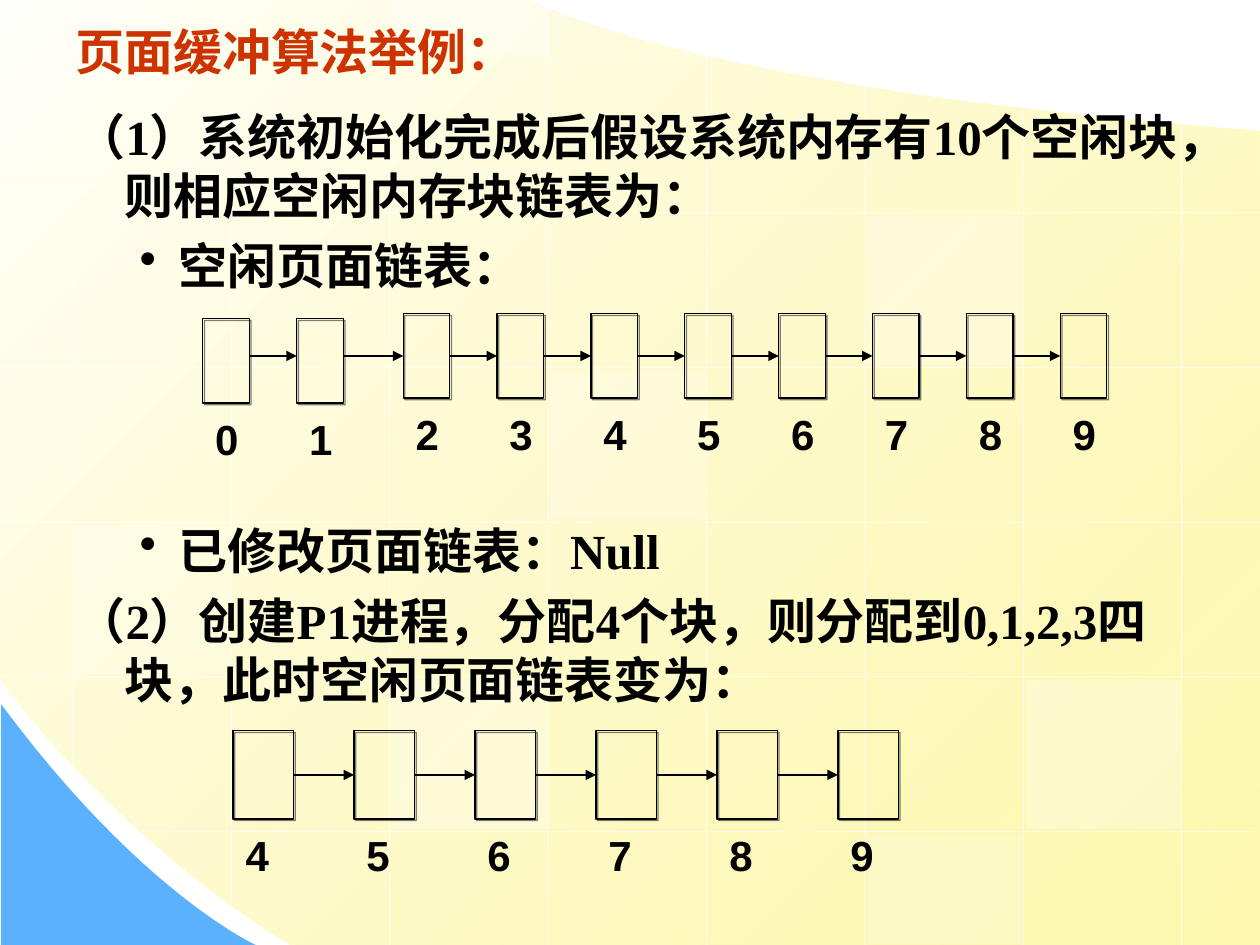
from lxml import etree
from pptx import Presentation
from pptx.dml.color import RGBColor
from pptx.enum.shapes import MSO_CONNECTOR, MSO_SHAPE
from pptx.enum.text import MSO_ANCHOR
from pptx.oxml.ns import qn
from pptx.util import Emu, Inches, Pt

STRAIGHT, RECT = MSO_CONNECTOR.STRAIGHT, MSO_SHAPE.RECTANGLE
MIDDLE = MSO_ANCHOR.MIDDLE
RIGHT_SIDE, LEFT_SIDE = 3, 1
THEME = {
    "title": RGBColor(0xCC, 0x33, 0x00),
    "ink": RGBColor(0, 0, 0),
    "white": RGBColor(255, 255, 255),
    "cream": RGBColor(0xFF, 0xFF, 0xFB),
    "yellow": RGBColor(0xFD, 0xF5, 0x8D),
    "blue": RGBColor(0x5C, 0xB1, 0xFE),
    "text_size": Pt(28), "label_size": Pt(24), "line": Pt(0.75),
    "cjk": "Noto Sans CJK SC", "serif": "Times New Roman", "sans": "Arial",
}

prs = Presentation()
prs.slide_width, prs.slide_height = Inches(10), Inches(7.5)
CELL = prs.slide_width / 100  # the slide is 100 columns by 75 rows
slide = prs.slides.add_slide(prs.slide_layouts[6])
shapes = slide.shapes


def cells(*counts):
    """Turn numbers of grid cells into lengths."""
    return [Emu(round(n * CELL)) for n in counts]


def add(parent, tag, **attrs):
    """Append a DrawingML element with its attributes."""
    return etree.SubElement(parent, qn(tag), attrs)


# Curved background areas: each segment is a cubic curve or a single corner
page = [(100, 10.4),
        [(100, 42.7), (100, 75), (100, 75)],
        [(100, 75), (61.5, 75), (23, 75)],
        [(8.6, 66.1), (0, 53.9), (0, 53.9)],
        [(0, 0)], [(42.1, 0)],
        [(42.1, 0), (53.7, 6.9), (100, 10.4)]]
corner = [(0.1, 55.9), [(0.1, 75)], [(20.3, 75)],
          [(20.3, 75), (11.2, 70.9), (0.1, 55.9)]]
areas = []
for start, *segments in (page, corner):
    points = [start]
    for segment in segments:
        if len(segment) == 1:
            points += segment
            continue
        a, (b, c, d) = points[-1], segment
        for step in range(1, 25):
            t = step / 24
            u = 1 - t
            points.append(tuple(
                u**3 * a[i] + 3 * u * u * t * b[i] + 3 * u * t * t * c[i] + t**3 * d[i]
                for i in (0, 1)))
    outline = shapes.build_freeform(*cells(*points[0]))
    outline.add_line_segments([cells(*point) for point in points[1:]], close=True)
    s = outline.convert_to_shape()
    s.shadow.inherit = False
    s.line.fill.background()
    areas.append(s)
page_area, corner_area = areas
page_area.fill.gradient()
page_area.fill.gradient_angle = 315
for stop, colour in zip(page_area.fill.gradient_stops, (THEME["cream"], THEME["yellow"])):
    stop.color.rgb = colour
add(list(page_area._element.iter(qn("a:srgbClr")))[-1], "a:alpha", val="70000")
corner_area.fill.solid()
corner_area.fill.fore_color.rgb = THEME["blue"]

# Faint lattice, cut off along the curves
columns = [5.8 + 12.57 * i for i in range(8)]
rows = [4.6 + 12.28 * i for i in range(6)]
column_spans = [(0, 60.9), (0, 71.9), (0, 75), (0, 75),
                (4.3, 75), (6.8, 75), (8.5, 75), (9.8, 75)]
row_spans = [(0, 56.8)] + [(0, 100)] * 4 + [(11.1, 99.7)]
lattice = [(x, top, x, bottom) for x, (top, bottom) in zip(columns, column_spans)]
lattice += [(left, y, right, y) for y, (left, right) in zip(rows, row_spans)]
for ends in lattice:
    s = shapes.add_connector(STRAIGHT, *cells(*ends))
    s.line.width = THEME["line"]
    s.line.color.rgb = THEME["white"]
    add(s._element.find(".//" + qn("a:srgbClr")), "a:alpha", val="50000")
    add(s._element.spPr, "a:effectLst")

# Lighter tiles: column, top, height, opacity in percent
for column, top, height, opacity in (
        (3, rows[2] + 0.25, 11.8, 25), (6, rows[4] + 0.25, 11.8, 30),
        (0, rows[3] + 0.25, 11.8, 20), (5, rows[5] + 0.25, 8.7, 20),
        (2, 0, 4.4, 40), (2, rows[4] + 0.25, 11.8, 30),
        (5, rows[1] + 0.25, 11.8, 30)):
    s = shapes.add_shape(RECT, *cells(columns[column] + 0.2, top, 12.3, height))
    s.shadow.inherit = False
    s.line.fill.background()
    s.fill.solid()
    s.fill.fore_color.rgb = THEME["white"]
    add(s._element.spPr.find(".//" + qn("a:srgbClr")), "a:alpha", val=str(opacity * 1000))

# Title and body: text, is a bullet, space before
title = [("页面缓冲算法举例：", False, 0)]
body = [
    ("（1）系统初始化完成后假设系统内存有10个空闲块，则相应空闲内存块链表为：", False, 0),
    ("空闲页面链表：", True, 7),
    ("已修改页面链表：Null", True, 129),
    ("（2）创建P1进程，分配4个块，则分配到0,1,2,3四块，此时空闲页面链表变为：", False, 7),
]
for place, paragraphs, font, colour in (
        ((5, 1.3, 90, 5.5), title, THEME["cjk"], THEME["title"]),
        ((5.1, 7.6, 90, 59.9), body, THEME["serif"], THEME["ink"])):
    tf = shapes.add_textbox(*cells(*place)).text_frame
    tf.word_wrap = True
    if paragraphs is title:
        tf.vertical_anchor = MIDDLE
    else:
        tf.margin_top = Inches(0.09)
    for i, (text, bulleted, before) in enumerate(paragraphs):
        p = tf.add_paragraph() if i else tf.paragraphs[0]
        p.text = text
        if paragraphs is body:
            left, hanging = (8.1, 3.1) if bulleted else (3.8, 3.8)
            pPr = p._p.get_or_add_pPr()
            pPr.set("marL", str(cells(left)[0]))
            pPr.set("indent", str(-cells(hanging)[0]))
            if bulleted:
                add(add(pPr, "a:buClr"), "a:srgbClr", val=str(THEME["ink"]))
                add(pPr, "a:buChar", char="•")
            p.line_spacing = Pt(33.4)
            p.space_before = Pt(before)
        r = p.runs[0]
        r.font.size, r.font.bold, r.font.name = THEME["text_size"], True, font
        r.font.color.rgb = colour
        add(r._r.rPr, "a:ea", typeface=THEME["cjk"])

# Page lists: boxes as (label, left, top), box size, height of the arrows
free_pages = [(n, 16.1 + 7.45 * n + (n > 1), 24.9 + 0.4 * (n < 2)) for n in range(10)]
left_pages = [(n, 18.5 + 9.6 * (n - 4), 58) for n in range(4, 10)]
for pages, width, height, arrow_y in ((free_pages, 3.7, 6.7, 28.25),
                                      (left_pages, 4.8, 7, 61.5)):
    boxes = []
    for label, x, y in pages:
        s = shapes.add_shape(RECT, *cells(x, y, width, height))
        s.fill.background()
        s.line.color.rgb, s.line.width = THEME["ink"], THEME["line"]
        s.shadow.inherit = False
        shadow = add(s._element.spPr.find(qn("a:effectLst")), "a:outerShdw",
                     blurRad="0", dist=str(Pt(1.4)), dir="2700000", algn="ctr", rotWithShape="0")
        add(add(shadow, "a:srgbClr", val=str(THEME["ink"])), "a:alpha", val="50000")
        boxes.append(s)

        tf = shapes.add_textbox(*cells(x, y + height, width, 5)).text_frame
        tf.word_wrap = True
        tf.margin_top = Inches(0.08)
        tf.text = str(label)
        r = tf.paragraphs[0].runs[0]
        r.font.size, r.font.bold = THEME["label_size"], True
        r.font.color.rgb = THEME["ink"]
        glow = add(add(r._r.rPr, "a:effectLst"), "a:outerShdw",
                   blurRad="0", dist=str(Pt(1.4)), dir="2700000")
        add(glow, "a:srgbClr", val="C0C0C0")
        r.font.name = THEME["sans"]

    for i in range(len(pages) - 1):
        (_, x1, y1), (_, x2, y2) = pages[i:i + 2]
        s = shapes.add_connector(STRAIGHT, *cells(x1 + width, arrow_y, x2, arrow_y))
        if y1 + height / 2 == arrow_y:
            s.begin_connect(boxes[i], RIGHT_SIDE)
        if y2 + height / 2 == arrow_y:
            s.end_connect(boxes[i + 1], LEFT_SIDE)
        s.line.color.rgb, s.line.width = THEME["ink"], THEME["line"]
        add(s.line._get_or_add_ln(), "a:tailEnd", type="triangle")
        add(s._element.spPr, "a:effectLst")

prs.save("out.pptx")
